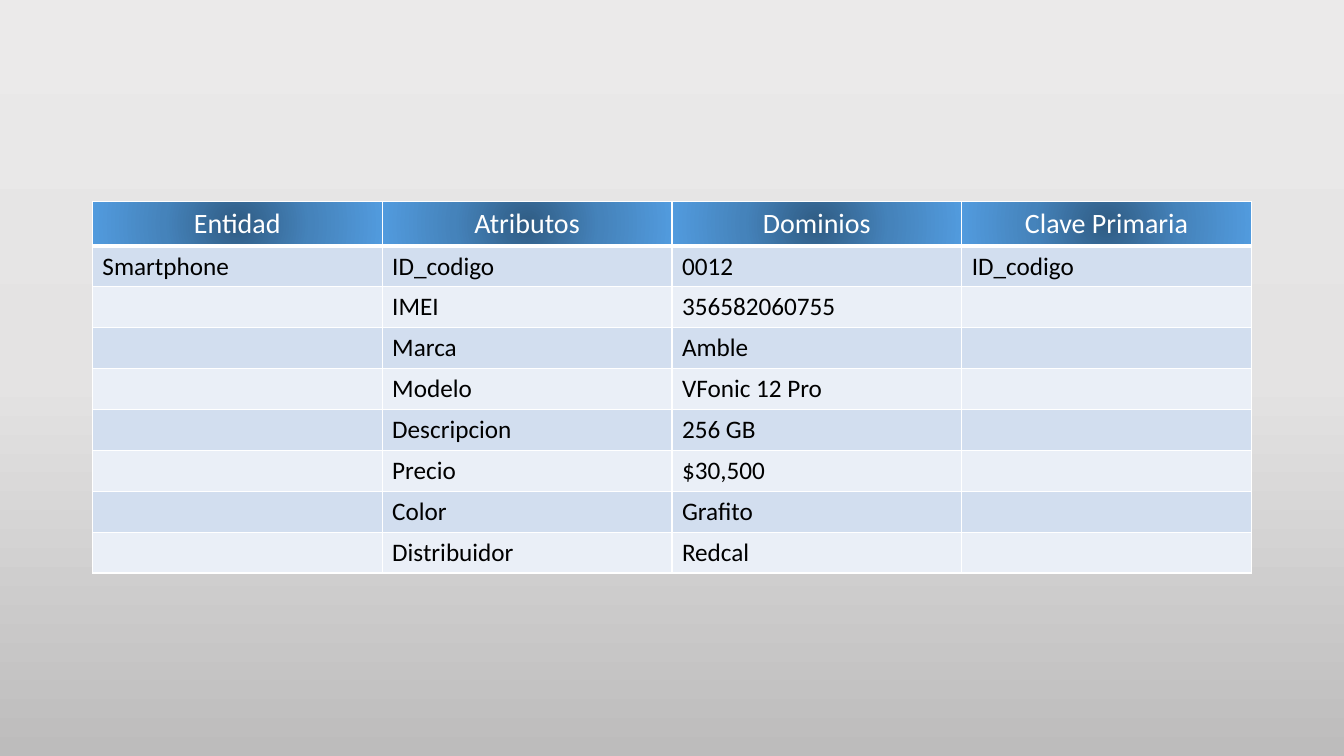
from dataclasses import dataclass

from lxml import etree
from pptx import Presentation
from pptx.dml.color import RGBColor
from pptx.enum.text import MSO_ANCHOR, PP_ALIGN
from pptx.oxml.ns import qn
from pptx.util import Pt

CENTER, LEFT = PP_ALIGN.CENTER, PP_ALIGN.LEFT
TOP = MSO_ANCHOR.TOP
FONT = "Calibri"
WHITE, BLACK = "FFFFFF", "000000"
BANDS = ("D2DEEF", "EAEFF7")
COLUMN_WIDTH, ROW_HEIGHT = 207, 29.2
TABLE_LEFT, TABLE_TOP = 66, 144

ROWS = [
    ("Entidad", "Atributos", "Dominios", "Clave Primaria"),
    ("Smartphone", "ID_codigo", "0012", "ID_codigo"),
    ("", "IMEI", "356582060755", ""),
    ("", "Marca", "Amble", ""),
    ("", "Modelo", "VFonic 12 Pro", ""),
    ("", "Descripcion", "256 GB", ""),
    ("", "Precio", "$30,500", ""),
    ("", "Color", "Grafito", ""),
    ("", "Distribuidor", "Redcal", ""),
]


@dataclass
class Gradient:
    """Evenly spaced colours, running downwards or out from the centre."""
    colors: tuple[str, ...]
    radial: bool = False


BACKDROP = Gradient(("EBEAEA", "E4E3E3", "BDBCBC"))
HEADER = Gradient(("305C84", "4583BB", "529BDE"), radial=True)


def rgb(color: str) -> RGBColor:
    return RGBColor.from_string(color)


def add_node(parent, tag: str, **attrs):
    return etree.SubElement(parent, qn(tag), {k: str(v) for k, v in attrs.items()})


def set_gradient(fill, owner, gradient: Gradient) -> None:
    """Give the fill inside the XML element owner a gradient."""
    fill.solid()
    fill.fore_color.rgb = rgb(WHITE)
    solid = next(owner.iterchildren(qn("a:solidFill")))
    grad = etree.Element(qn("a:gradFill"), rotWithShape="1")
    stops = add_node(grad, "a:gsLst")
    step = 100000 // (len(gradient.colors) - 1)
    for i, color in enumerate(gradient.colors):
        add_node(add_node(stops, "a:gs", pos=i * step), "a:srgbClr", val=color)
    if gradient.radial:
        shade = add_node(grad, "a:path", path="circle")
        add_node(shade, "a:fillToRect", l=50000, t=50000, r=50000, b=50000)
    else:
        add_node(grad, "a:lin", ang=90 * 60000, scaled=0)
    owner.replace(solid, grad)


def set_borders(cell, bottom: float = 1) -> None:
    tc_pr = cell._tc.get_or_add_tcPr()
    for side, width in (("L", 1), ("R", 1), ("T", 1), ("B", bottom)):
        line = add_node(tc_pr, f"a:ln{side}", w=Pt(width))
        add_node(add_node(line, "a:solidFill"), "a:srgbClr", val=WHITE)


def write(cell, text: str, size: float = 18, color: str = BLACK, align=LEFT) -> None:
    cell.vertical_anchor = TOP
    p = cell.text_frame.paragraphs[0]
    p.alignment = align
    p.font.size = Pt(size)
    if text:
        r = p.add_run()
        r.text = text
        r.font.name, r.font.size = FONT, Pt(size)
        r.font.bold = False
        r.font.color.rgb = rgb(color)


def add_entity_table(slide) -> None:
    n_rows, n_cols = len(ROWS), len(ROWS[0])
    table = slide.shapes.add_table(
        n_rows, n_cols, Pt(TABLE_LEFT), Pt(TABLE_TOP),
        Pt(n_cols * COLUMN_WIDTH), Pt(n_rows * ROW_HEIGHT)).table
    table.horz_banding = False
    for column in table.columns:
        column.width = Pt(COLUMN_WIDTH)
    for i, texts in enumerate(ROWS):
        table.rows[i].height = Pt(ROW_HEIGHT)
        for j, text in enumerate(texts):
            cell = table.cell(i, j)
            if i == 0:
                set_borders(cell, bottom=3)
                set_gradient(cell.fill, cell._tc.tcPr, HEADER)
                write(cell, text, size=20, color=WHITE, align=CENTER)
            else:
                set_borders(cell)
                cell.fill.solid()
                cell.fill.fore_color.rgb = rgb(BANDS[(i - 1) % 2])
                write(cell, text)


def main() -> None:
    prs = Presentation()
    prs.slide_width, prs.slide_height = Pt(960), Pt(540)
    slide = prs.slides.add_slide(prs.slide_layouts[6])
    fill = slide.background.fill
    fill.solid()
    set_gradient(fill, slide.element.cSld.bg.bgPr, BACKDROP)
    add_entity_table(slide)
    prs.save("out.pptx")


if __name__ == "__main__":
    main()
